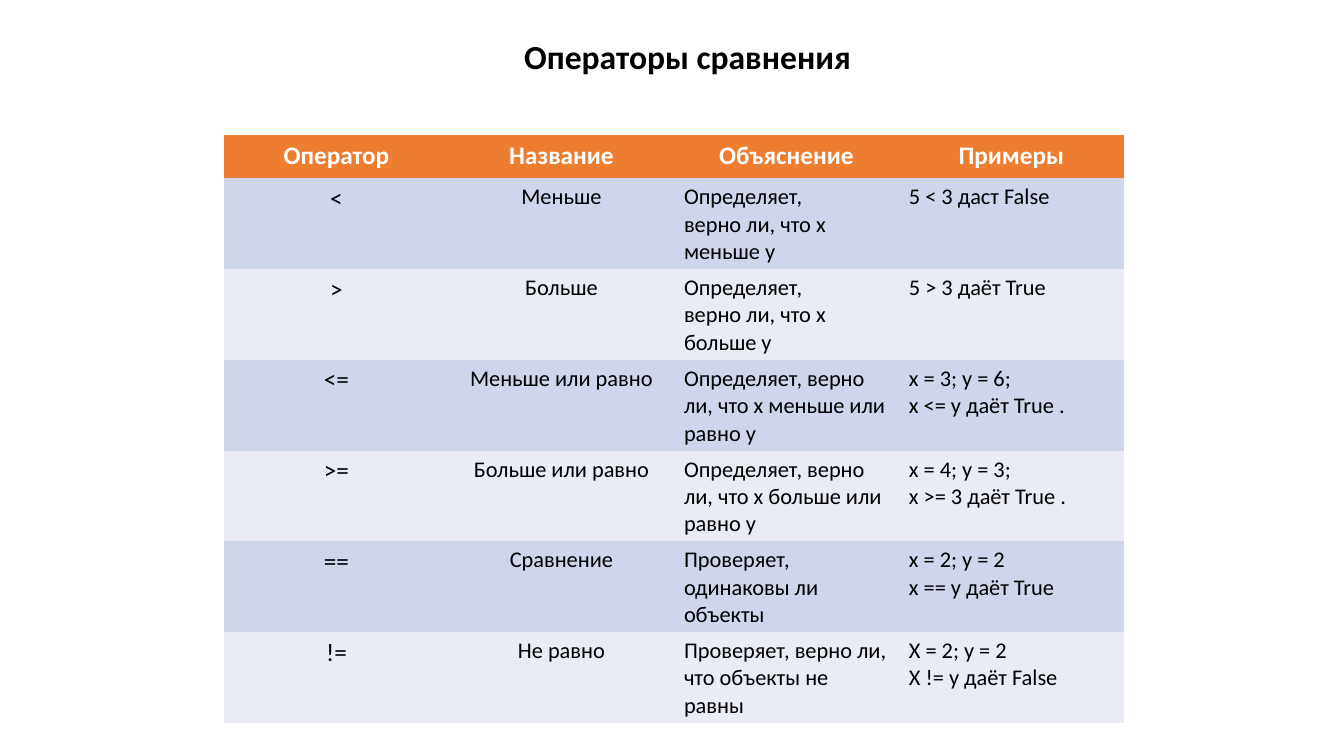
from dataclasses import dataclass

from pptx import Presentation
from pptx import util as u
from pptx.dml.color import RGBColor
from pptx.enum import text as t
from pptx.oxml import ns


@dataclass(frozen=True)
class Theme:
    font: str = "Calibri"
    ink: str = "000000"
    header_ink: str = "FFFFFF"
    header_fill: str = "ED7D31"
    bands: tuple = ("CFD5EA", "E9EBF5")
    title_size: int = 24
    operator_size: int = 18
    body_size: int = 16


THEME = Theme()
PLAIN_TABLE_STYLE = "{2D5ABB26-0587-4C30-8999-92F81FD0307C}"

HEADERS = ("Оператор", "Название", "Объяснение", "Примеры")
OPERATORS = (
    ("<", "Меньше", "Определяет,\nверно ли, что x\nменьше y", "5 < 3 даст False"),
    (">", "Больше", "Определяет,\nверно ли, что x\nбольше y", "5 > 3 даёт True"),
    ("<=", "Меньше или равно", "Определяет, верно ли, что x меньше или\nравно y",
     "x = 3; y = 6;\nx <= y даёт True ."),
    (">=", "Больше или равно", "Определяет, верно ли, что x больше или\nравно y",
     "x = 4; y = 3;\nx >= 3 даёт True ."),
    ("==", "Сравнение", "Проверяет,\nодинаковы ли\nобъекты", "x = 2; y = 2\nx == y даёт True"),
    ("!=", "Не равно", "Проверяет, верно ли, что объекты не\nравны",
     "X = 2; y = 2\nX != y даёт False"),
)
COLUMN_WIDTH = 160.7
ROW_HEIGHTS = (31, 53, 48, 48, 53, 48, 48)
TABLE_HEIGHT = 419.8


def write(frame, content, size=THEME.body_size, color=THEME.ink, bold=False,
          align=t.PP_ALIGN.LEFT):
    """Fill a text frame, one paragraph for each line of content."""
    frame.text = content
    for paragraph in frame.paragraphs:
        paragraph.alignment = align
        for run in paragraph.runs:
            run.font.name = THEME.font
            run.font.size = u.Pt(size)
            run.font.bold = bold
            run.font.color.rgb = RGBColor.from_string(color)


def add_title(slide, content):
    title = slide.shapes.title
    title.left, title.top = u.Pt(367.2), u.Pt(22.3)
    title.width, title.height = u.Pt(249.8), u.Pt(36)
    frame = title.text_frame
    write(frame, content, size=THEME.title_size, bold=True)
    frame.word_wrap = False
    frame.auto_size = t.MSO_AUTO_SIZE.SHAPE_TO_FIT_TEXT
    frame.vertical_anchor = t.MSO_ANCHOR.TOP


def fill_row(cells, contents, fill, formats):
    for cell, content, text_format in zip(cells, contents, formats):
        cell.fill.solid()
        cell.fill.fore_color.rgb = RGBColor.from_string(fill)
        write(cell.text_frame, content, **text_format)


def add_operator_table(slide):
    holder = slide.shapes.add_table(
        len(OPERATORS) + 1, len(HEADERS), u.Pt(160), u.Pt(96.5),
        u.Pt(COLUMN_WIDTH * len(HEADERS)), u.Pt(TABLE_HEIGHT))
    table = holder.table
    table.horz_banding = False
    table._tbl.tblPr.find(ns.qn("a:tableStyleId")).text = PLAIN_TABLE_STYLE
    for column in table.columns:
        column.width = u.Pt(COLUMN_WIDTH)
    for row, height in zip(table.rows, ROW_HEIGHTS):
        row.height = u.Pt(height)
    holder.height = u.Pt(TABLE_HEIGHT)

    center = t.PP_ALIGN.CENTER
    header = dict(size=THEME.operator_size, color=THEME.header_ink, bold=True, align=center)
    body = (dict(size=THEME.operator_size, align=center), dict(align=center), {}, {})
    fill_row(table.rows[0].cells, HEADERS, THEME.header_fill, [header] * len(HEADERS))
    for index, operator in enumerate(OPERATORS):
        band = THEME.bands[index % len(THEME.bands)]
        fill_row(table.rows[index + 1].cells, operator, band, body)


def main():
    deck = Presentation()
    deck.slide_width, deck.slide_height = u.Pt(960), u.Pt(540)
    slide = deck.slides.add_slide(deck.slide_layouts.get_by_name("Title Only"))
    add_title(slide, "Операторы сравнения")
    add_operator_table(slide)
    deck.save("out.pptx")


if __name__ == "__main__":
    main()
